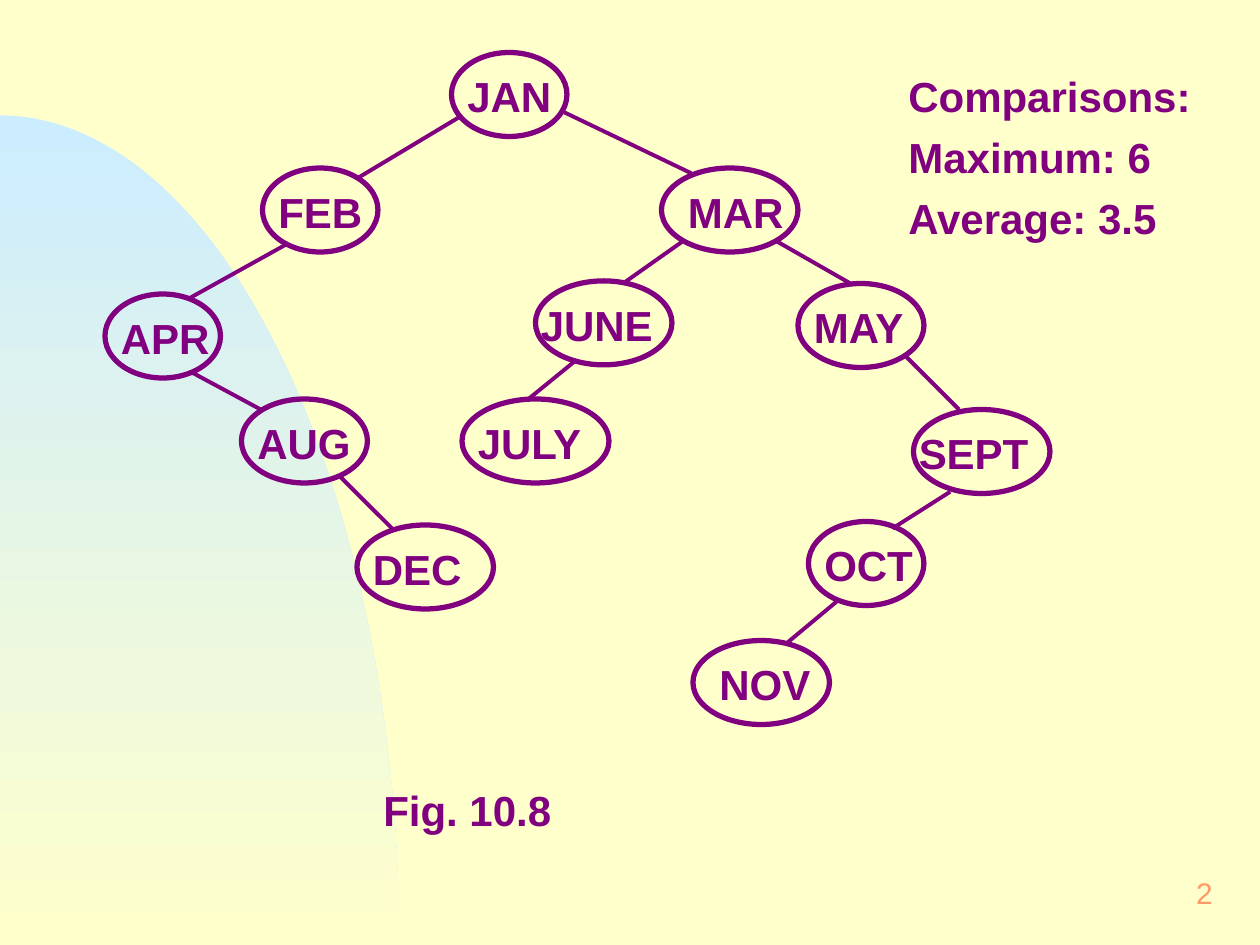
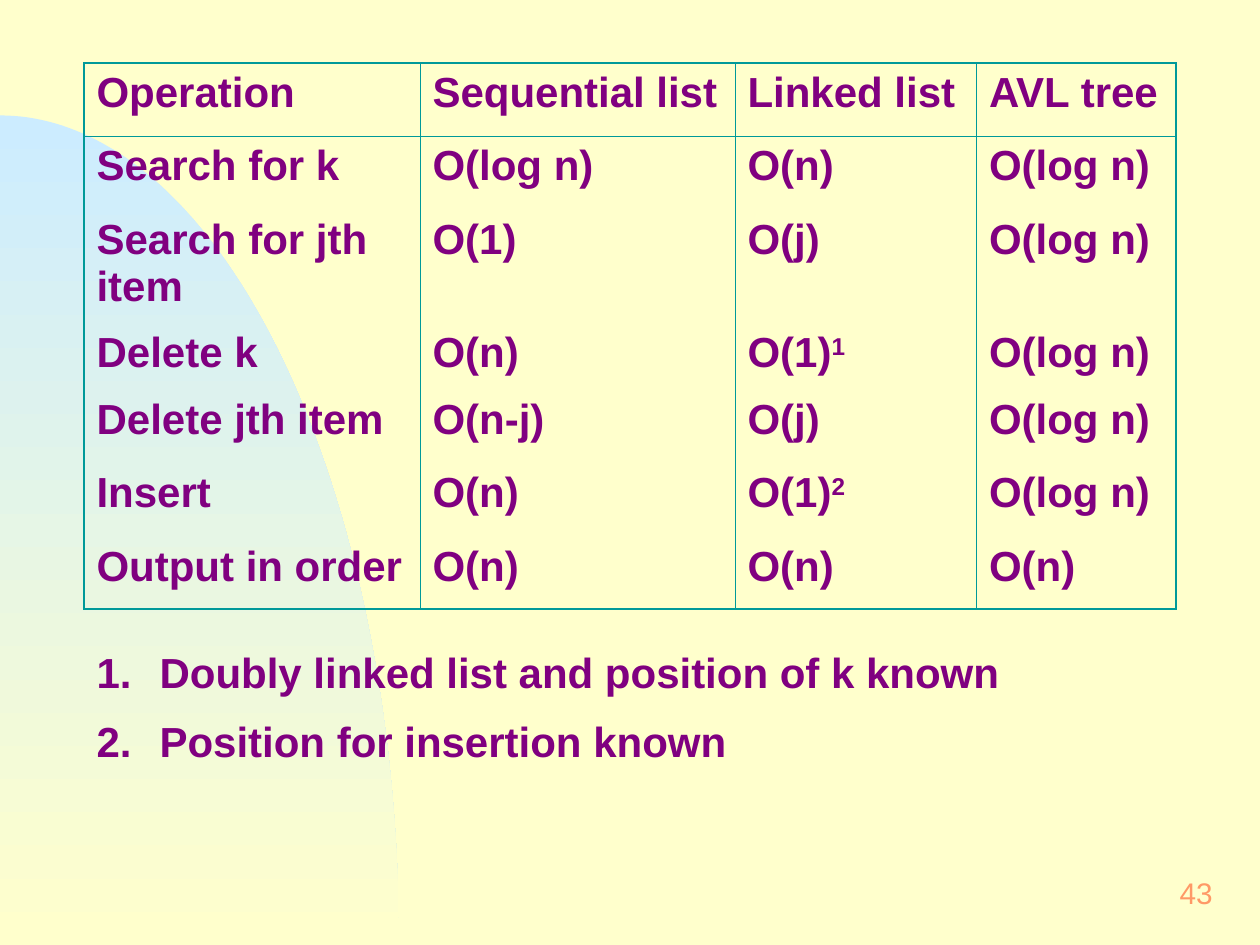
from math import cos, pi, sin

from lxml.etree import SubElement
from pptx import Presentation
from pptx.dml.color import RGBColor
from pptx.enum.shapes import MSO_CONNECTOR, MSO_SHAPE
from pptx.enum.text import MSO_ANCHOR, MSO_AUTO_SIZE, PP_ALIGN
from pptx.oxml import parse_xml
from pptx.oxml.ns import nsdecls, qn
from pptx.util import Pt

FONT = "Arial"
PURPLE, TEAL, ORANGE = "800080", "009999", "FF9966"
CREAM, SKY = "FFFFCC", "CCECFF"
WIDTH, HEIGHT = 720, 540
ARC_WIDTH, ARC_HEIGHT, ARC_STEPS = 228, 474, 90
NODE_HEIGHT, LABEL_DROP, LABEL_HEIGHT = 48, 6, 37
THIN, THICK = 0.45, 1.08

# month: left, top, width, label shift
MONTHS = {
    "JAN": (258, 30, 66, 0),
    "FEB": (150, 96, 66, 0),
    "MAR": (378, 96, 78, 6),
    "APR": (60, 168, 66, 0),
    "JUNE": (306, 160.5, 78, -6),
    "MAY": (456, 162, 72, 0),
    "AUG": (138, 228, 72, 0),
    "JULY": (264, 228, 84, 0),
    "SEPT": (522, 234, 78, -6),
    "DEC": (204, 300, 78, 0),
    "OCT": (462, 298, 66, 0),
    "NOV": (396, 366, 78, 6),
}
BRANCHES = [
    (264, 66, 204, 102), (320, 63, 395, 99), (163, 140, 109, 170),
    (390, 138, 356, 162), (444, 138, 486, 162), (110, 213, 149, 234),
    (329, 206, 302, 228), (518, 204, 548, 234), (194, 272, 224, 302),
    (543, 281, 510, 302), (479, 343, 449, 368),
]
COMPARISONS = ["Comparisons:", "Maximum: 6", "Average: 3.5"]
CAPTION = "Fig. 10.8"

COMPLEXITIES = [
    ("Operation", "Sequential list", "Linked list", "AVL tree"),
    ("Search for k", "O(log n)", "O(n)", "O(log n)"),
    ("Search for jth item", "O(1)", "O(j)", "O(log n)"),
    ("Delete k", "O(n)", ("O(1)", "1"), "O(log n)"),
    ("Delete jth item", "O(n-j)", "O(j)", "O(log n)"),
    ("Insert", "O(n)", ("O(1)", "2"), "O(log n)"),
    ("Output in order", "O(n)", "O(n)", "O(n)"),
]
COLUMN_WIDTHS = [192, 180, 138, 114]
ROW_HEIGHTS = [42, 42, 65, 38, 42, 42, 41]
FOOTNOTES = ["Doubly linked list and position of k known",
             "Position for insertion known"]


def color(value):
    """Turn a hex string into a colour."""
    return RGBColor.from_string(value)


def box(*lengths):
    """Convert lengths in points."""
    return [Pt(length) for length in lengths]


def add_run(paragraph, text, size=24, hue=PURPLE, bold=True, raised=False):
    """Add one formatted run, superscript if raised."""
    run = paragraph.add_run()
    run.text = text
    run.font.name, run.font.size, run.font.bold = FONT, Pt(size), bold
    run.font.color.rgb = color(hue)
    if raised:
        run.font._element.set("baseline", "30000")


def write_lines(frame, lines, space=6):
    """Write one bold paragraph per line and return the paragraphs."""
    for index, line in enumerate(lines):
        paragraph = frame.add_paragraph() if index else frame.paragraphs[0]
        paragraph.space_before = Pt(space)
        parts = (line,) if isinstance(line, str) else line
        for position, part in enumerate(parts):
            add_run(paragraph, part, raised=position > 0)
    return frame.paragraphs


def add_frame(slide, *place):
    """Add a wrapping text box and return its text frame."""
    frame = slide.shapes.add_textbox(*box(*place)).text_frame
    frame.word_wrap = True
    frame.margin_left = frame.margin_right = Pt(9)
    frame.margin_top = frame.margin_bottom = Pt(4.5)
    return frame


def add_arc(slide):
    """Put the shaded quarter ellipse behind everything else."""
    angles = [pi / 2 * step / ARC_STEPS for step in range(ARC_STEPS + 1)]
    points = [box(ARC_WIDTH * sin(angle), HEIGHT - ARC_HEIGHT * cos(angle))
              for angle in angles]
    builder = slide.shapes.build_freeform(0, Pt(HEIGHT))
    builder.add_line_segments(points)
    arc = builder.convert_to_shape()
    arc.shadow.inherit = False
    arc.line.fill.background()
    arc.fill.gradient()
    arc.fill.gradient_angle = 270
    for stop, hue, place in zip(arc.fill.gradient_stops, (SKY, CREAM), (0, 1)):
        stop.color.rgb, stop.position = color(hue), place
    slide.shapes._spTree.insert(2, arc._element)


def start_slide(presentation, layout_index, number):
    """Add a slide with the arc and page number."""
    slide = presentation.slides.add_slide(presentation.slide_layouts[layout_index])
    add_arc(slide)
    frame = add_frame(slide, 552, 492, 150, 36)
    frame.vertical_anchor = MSO_ANCHOR.MIDDLE
    frame.paragraphs[0].alignment = PP_ALIGN.RIGHT
    add_run(frame.paragraphs[0], number, 17, ORANGE, False)
    return slide


def add_month(slide, name, left, top, width, shift):
    """Draw one tree node and its label."""
    node = slide.shapes.add_shape(MSO_SHAPE.OVAL, *box(left, top, width, NODE_HEIGHT))
    node.shadow.inherit = False
    node.fill.background()
    node.line.color.rgb, node.line.width = color(PURPLE), Pt(3)
    label = add_frame(slide, left + shift, top + LABEL_DROP, 84, LABEL_HEIGHT)
    write_lines(label, [name])


def add_branch(slide, *ends):
    """Draw one line between two nodes."""
    branch = slide.shapes.add_connector(MSO_CONNECTOR.STRAIGHT, *box(*ends))
    branch.line.color.rgb, branch.line.width = color(PURPLE), Pt(2.25)
    SubElement(branch._element.spPr, qn("a:effectLst"))


def set_borders(cell, widths):
    """Set left, right, top and bottom borders; zero means none."""
    properties = cell._tc.get_or_add_tcPr()
    for index, (side, width) in enumerate(zip("LRTB", widths)):
        fill = (f'<a:solidFill><a:srgbClr val="{TEAL}"/></a:solidFill>'
                if width else "<a:noFill/>")
        properties.insert(index, parse_xml(
            f'<a:ln{side} {nsdecls("a")} w="{Pt(width)}">{fill}</a:ln{side}>'))


def build_tree_slide(presentation):
    """Build the search tree of months."""
    slide = start_slide(presentation, 6, "2")
    for ends in BRANCHES:
        add_branch(slide, *ends)
    for name, place in MONTHS.items():
        add_month(slide, name, *place)
    write_lines(add_frame(slide, 510, 36, 198, 107), COMPARISONS)
    write_lines(add_frame(slide, 210, 443.5, 198, LABEL_HEIGHT), [CAPTION])


def add_complexity_table(slide):
    """Add the table of running times."""
    place = box(48, 36, sum(COLUMN_WIDTHS), sum(ROW_HEIGHTS))
    last_row, last_column = len(ROW_HEIGHTS) - 1, len(COLUMN_WIDTHS) - 1
    table = slide.shapes.add_table(last_row + 1, last_column + 1, *place).table
    table.first_row = table.horz_banding = False
    for column, width in zip(table.columns, COLUMN_WIDTHS):
        column.width = Pt(width)
    for row, (height, texts) in enumerate(zip(ROW_HEIGHTS, COMPLEXITIES)):
        table.rows[row].height = Pt(height)
        for column, text in enumerate(texts):
            cell = table.cell(row, column)
            cell.fill.background()
            write_lines(cell.text_frame, [text])
            set_borders(cell, (
                THICK if column == 0 else THIN,
                THICK if column == last_column else THIN,
                {0: THICK, 1: THIN}.get(row, 0),
                {0: THIN, last_row: THICK}.get(row, 0)))


def add_footnotes(slide):
    """Fill the body placeholder with the numbered notes."""
    body = slide.placeholders[1]
    body.left, body.top, body.width, body.height = box(48, 366, 630, 75.5)
    body.text_frame.auto_size = MSO_AUTO_SIZE.NONE
    for paragraph in write_lines(body.text_frame, FOOTNOTES, 10.5):
        properties = paragraph._p.get_or_add_pPr()
        properties.set("marL", str(Pt(36)))
        properties.set("indent", str(-Pt(36)))
        bullet_color = SubElement(properties, qn("a:buClr"))
        SubElement(bullet_color, qn("a:srgbClr"), val=PURPLE)
        SubElement(properties, qn("a:buFont"), typeface=FONT)
        SubElement(properties, qn("a:buAutoNum"), type="arabicPeriod")


def build_table_slide(presentation):
    """Build the comparison of list and tree operations."""
    slide = start_slide(presentation, 1, "43")
    title = slide.shapes.title._element
    title.getparent().remove(title)
    add_footnotes(slide)
    add_complexity_table(slide)


def main():
    """Build and save the presentation."""
    presentation = Presentation()
    presentation.slide_width, presentation.slide_height = box(WIDTH, HEIGHT)
    background = presentation.slide_master.background.fill
    background.solid()
    background.fore_color.rgb = color(CREAM)
    build_tree_slide(presentation)
    build_table_slide(presentation)
    presentation.save("out.pptx")


if __name__ == "__main__":
    main()
